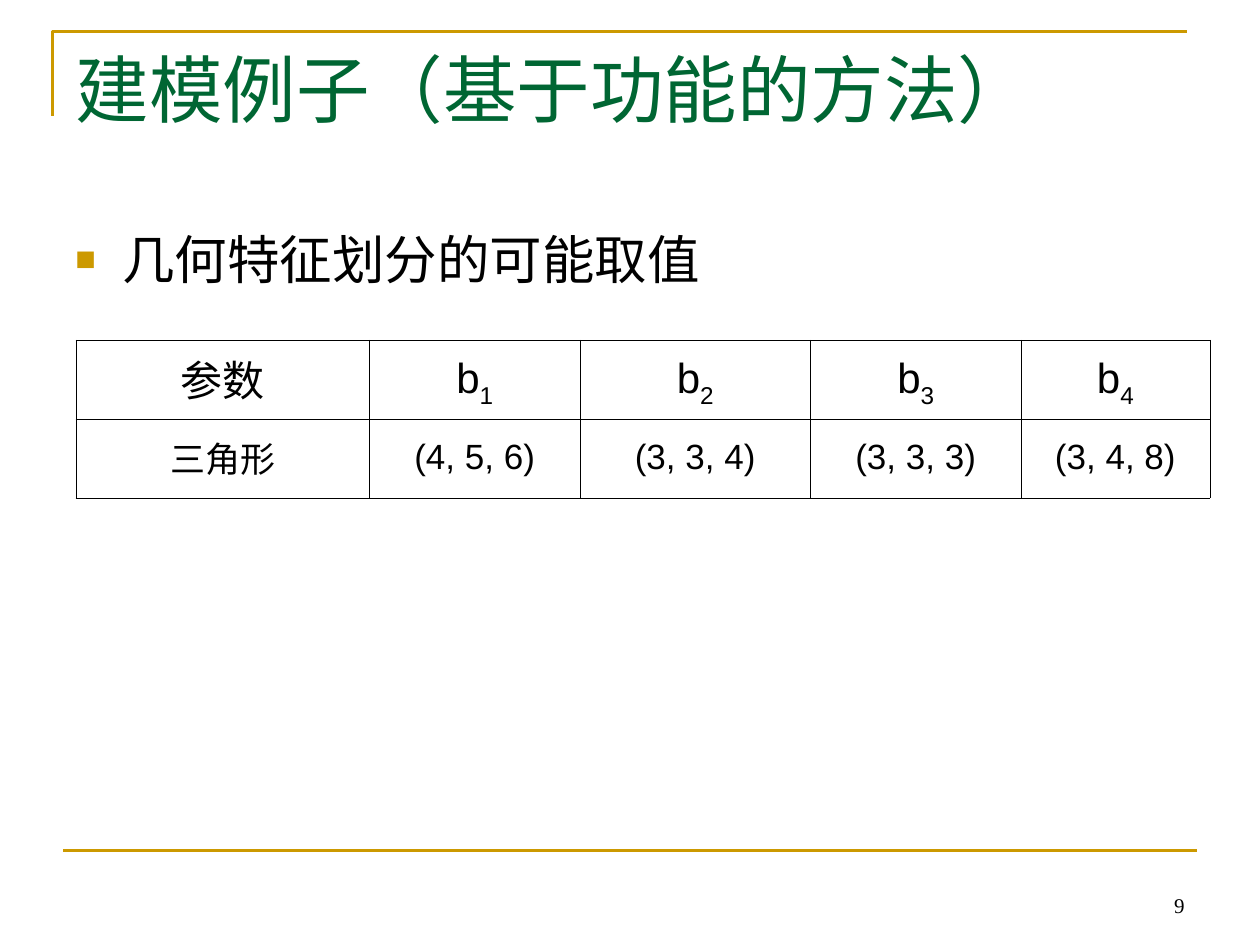
from lxml.etree import SubElement
from pptx import Presentation
from pptx.dml.color import RGBColor
from pptx.enum.shapes import MSO_CONNECTOR
from pptx.enum.text import MSO_ANCHOR as Anchor, MSO_AUTO_SIZE as AutoSize, PP_ALIGN as Align
from pptx.oxml.ns import qn
from pptx.util import Cm, Pt

GOLD = RGBColor(0xCC, 0x99, 0x00)
GREEN = RGBColor(0x00, 0x66, 0x33)
BLACK = RGBColor(0x00, 0x00, 0x00)
SANS, SERIF = "Arial", "Times New Roman"

COLUMN_WIDTHS = (5.92, 4.24, 4.65, 4.24, 3.81)
HEADERS = (("参数", ""), ("b", "1"), ("b", "2"), ("b", "3"), ("b", "4"))
VALUES = ("三角形", "(4, 5, 6)", "(3, 3, 4)", "(3, 3, 3)", "(3, 4, 8)")
ROWS = ((24, HEADERS), (20, [(value, "") for value in VALUES]))


def write_text(frame, text, size, font=SANS, color=BLACK, align=Align.LEFT,
               anchor=Anchor.TOP, spacing=None, subscript=""):
    frame.word_wrap = True
    frame.vertical_anchor = anchor
    paragraph = frame.paragraphs[0]
    paragraph.alignment = align
    paragraph.line_spacing = spacing
    for part, baseline in ((text, None), (subscript, "-25000")):
        if not part:
            continue
        run = paragraph.add_run()
        run.text = part
        run.font.name = font
        run.font.size = Pt(size)
        run.font.bold = False
        run.font.color.rgb = color
        if baseline:
            run._r.get_or_add_rPr().set("baseline", baseline)
    return paragraph


def add_square_bullet(paragraph, indent):
    properties = paragraph._p.get_or_add_pPr()
    properties.set("marL", str(indent))
    properties.set("indent", str(-indent))
    color = SubElement(properties, qn("a:buClr"))
    SubElement(color, qn("a:srgbClr"), val=str(GOLD))
    SubElement(properties, qn("a:buSzPct"), val="65000")
    SubElement(properties, qn("a:buFont"), typeface=SANS)
    SubElement(properties, qn("a:buChar"), char="■")


def style_line(line):
    line.color.rgb = GOLD
    line.width = Pt(1.5)


def add_corner_frame(slide, left, top, width, height):
    builder = slide.shapes.build_freeform(left, top + height)
    builder.add_line_segments([(left, top), (left + width, top)], close=False)
    corner = builder.convert_to_shape()
    corner.shadow.inherit = False
    corner.fill.background()
    style_line(corner.line)


def add_footer(slide, left, top, width, number):
    rule = slide.shapes.add_connector(MSO_CONNECTOR.STRAIGHT, left, top, left + width, top)
    style_line(rule.line)
    SubElement(rule._element.spPr, qn("a:effectLst"))
    box_width = Cm(5.93)
    box = slide.shapes.add_textbox(left + width - box_width, top + Cm(0.2), box_width, Cm(1.27))
    write_text(box.text_frame, number, 12, font=SERIF, align=Align.RIGHT, anchor=Anchor.BOTTOM)


def place_title(slide, left, top, width, height, text):
    title = slide.shapes.title
    title.left, title.top, title.width, title.height = left, top, width, height
    title.text_frame.auto_size = AutoSize.NONE
    write_text(title.text_frame, text, 42, font=SERIF, color=GREEN)


def add_body(slide, left, top, width, height, text):
    box = slide.shapes.add_textbox(left, top, width, height)
    paragraph = write_text(box.text_frame, text, 30)
    add_square_bullet(paragraph, Cm(0.95))


def add_cell_borders(cell):
    properties = cell._tc.get_or_add_tcPr()
    for side in ("lnL", "lnR", "lnT", "lnB"):
        border = SubElement(properties, qn(f"a:{side}"), w=str(Pt(0.45)))
        fill = SubElement(border, qn("a:solidFill"))
        SubElement(fill, qn("a:srgbClr"), val=str(BLACK))


def add_parameter_table(slide, left, top, width, height):
    table = slide.shapes.add_table(len(ROWS), len(COLUMN_WIDTHS), left, top, width, height).table
    table.first_row = False
    table.horz_banding = False
    for column, column_width in zip(table.columns, COLUMN_WIDTHS):
        column.width = Cm(column_width)
    for row, (size, entries) in zip(table.rows, ROWS):
        for cell, (text, subscript) in zip(row.cells, entries):
            add_cell_borders(cell)
            cell.fill.background()
            write_text(cell.text_frame, text, size, align=Align.CENTER,
                       spacing=0.9, subscript=subscript)
            cell.vertical_anchor = Anchor.MIDDLE


def main():
    presentation = Presentation()
    presentation.slide_width, presentation.slide_height = Cm(25.4), Cm(19.05)
    slide = presentation.slides.add_slide(presentation.slide_layouts[5])
    left, width = Cm(1.27), Cm(22.86)
    add_corner_frame(slide, Cm(1.06), Cm(0.64), width, Cm(1.69))
    place_title(slide, left, Cm(0.76), width, Cm(3.18), "建模例子（基于功能的方法）")
    add_body(slide, left, Cm(4.45), width, Cm(12.57), "几何特征划分的可能取值")
    add_parameter_table(slide, Cm(1.53), Cm(6.86), width, Cm(3.18))
    add_footer(slide, left, Cm(17.15), width, "9")
    presentation.save("out.pptx")


if __name__ == "__main__":
    main()
